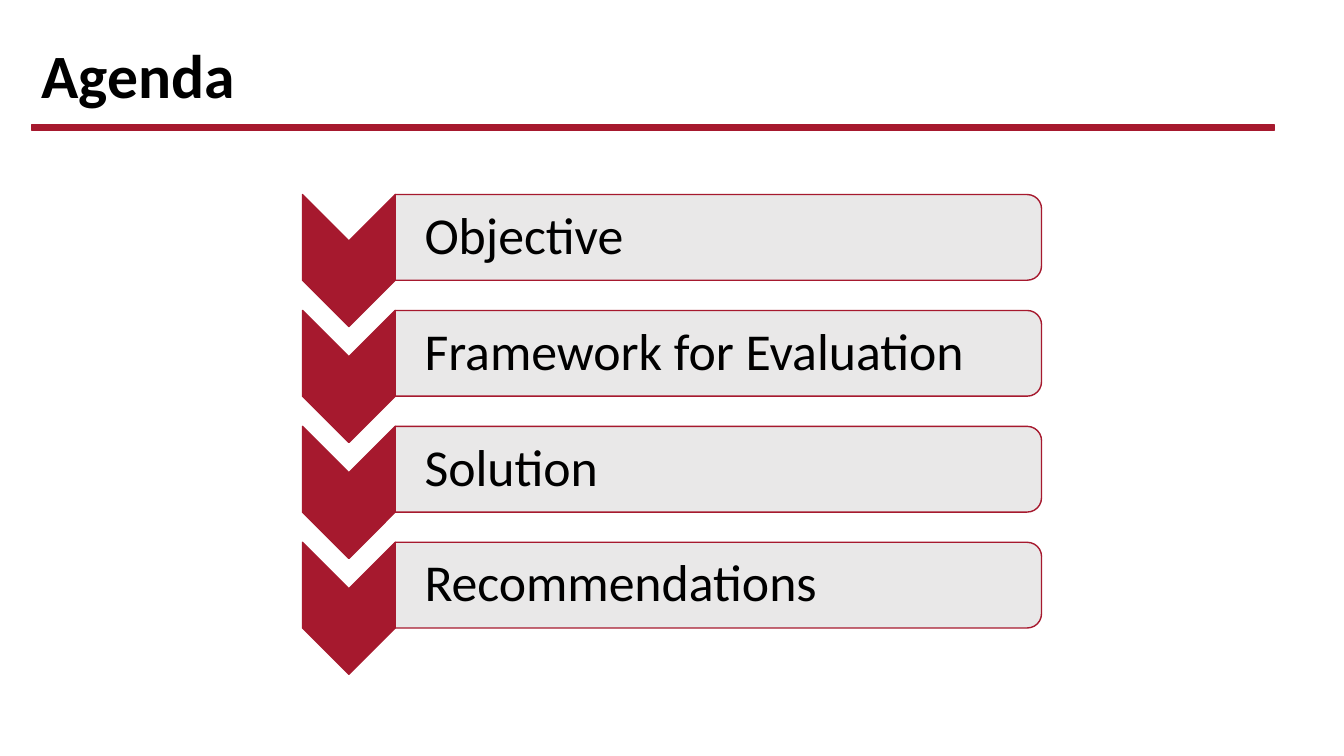
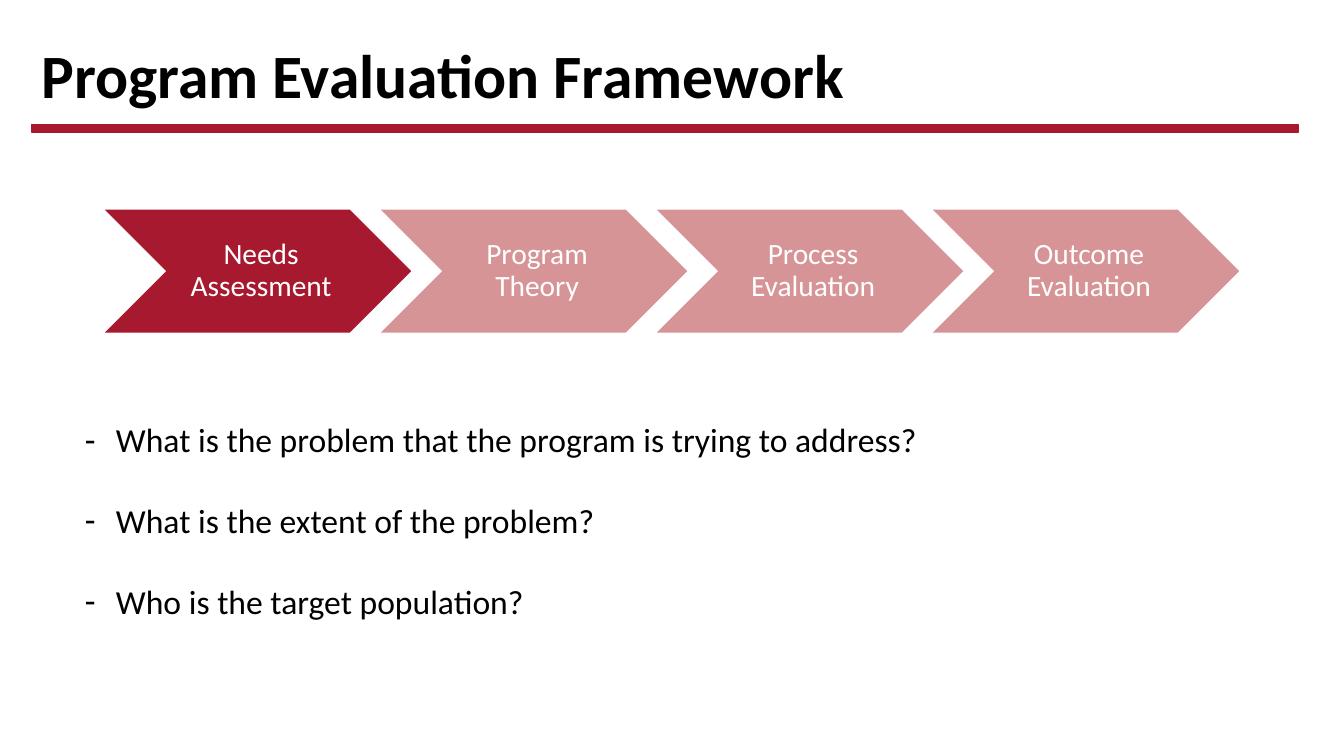
"""Builds an agenda slide and an evaluation framework slide."""
from pptx import Presentation
from pptx import util as u
from pptx.dml.color import RGBColor
from pptx.enum import shapes, text
from pptx.oxml import ns
from lxml import etree

PX = 9144
RED, PINK, GREY = "A6192E", "D79497", "E7E6E6"
BLACK, WHITE = "000000", "FFFFFF"
FONT = "Calibri"
KIND = shapes.MSO_SHAPE
ALIGN = text.PP_ALIGN
TOPICS = ["Objective", "Framework for Evaluation", "Solution", "Recommendations"]
STAGES = ["Needs Assessment", "Program Theory", "Process Evaluation",
          "Outcome Evaluation"]
ASKS = ["What is the problem that the program is trying to address?",
        "What is the extent of the problem?",
        "Who is the target population?"]


def px(num):
    return u.Emu(round(num * PX))


def tint(code):
    return RGBColor.from_string(code)


def place(item, box):
    item.left, item.top, item.width, item.height = map(px, box)


def style(par, size, color=BLACK, bold=False, align=ALIGN.LEFT, lead=0.9):
    par.alignment = align
    par.line_spacing = lead
    for run in par.runs:
        font = run.font
        font.name, font.size, font.bold = FONT, u.Pt(size), bold
        font.color.rgb = tint(color)


def inset(frame, left, rest):
    frame.word_wrap = True
    frame.vertical_anchor = text.MSO_ANCHOR.MIDDLE
    frame.margin_left = px(left)
    frame.margin_top = frame.margin_right = frame.margin_bottom = px(rest)


def shape(slide, kind, box, fill, line=None, turn=False):
    left, top, wide, high = box
    if turn:
        left, top = left + (wide - high) / 2, top + (high - wide) / 2
        wide, high = high, wide
    item = slide.shapes.add_shape(kind, *map(px, (left, top, wide, high)))
    item.shadow.inherit = False
    item.rotation = 90 if turn else 0
    item.fill.solid()
    item.fill.fore_color.rgb = tint(fill)
    if line:
        item.line.color.rgb = tint(line)
        item.line.width = u.Pt(1)
    else:
        item.line.fill.background()
    return item


def fade(item, share):
    color = item.element.spPr.find(".//" + ns.qn("a:srgbClr"))
    etree.SubElement(color, ns.qn("a:alpha"), val=str(share * 1000))


def start(deck, layout, title, wide, high):
    slide = deck.slides.add_slide(deck.slide_layouts[layout])
    head = slide.shapes.title
    place(head, (31, 32, 1150, 91))
    frame = head.text_frame
    frame.text = title
    frame.vertical_anchor = text.MSO_ANCHOR.MIDDLE
    style(frame.paragraphs[0], 44, bold=True)
    shape(slide, KIND.RECTANGLE, (31, 124, wide, high), RED, RED)
    return slide


def topic(slide, top, words):
    shape(slide, KIND.CHEVRON, (300, top, 92, 131), RED, RED, turn=True)
    box = (392, top, 641, 85)
    bar = shape(slide, KIND.ROUND_2_SAME_RECTANGLE, box, GREY, RED, turn=True)
    fade(bar, 90)
    label = slide.shapes.add_textbox(*map(px, box)).text_frame
    inset(label, 29, 3)
    label.text = words
    style(label.paragraphs[0], 37)


def stage(slide, left, words, fill):
    item = shape(slide, KIND.CHEVRON, (left, 208, 304, 122), fill)
    frame = item.text_frame
    inset(frame, 9, 3)
    frame.text = words
    style(frame.paragraphs[0], 21, WHITE, align=ALIGN.CENTER)


def listing(slide, box, lines):
    body = slide.placeholders[1]
    place(body, box)
    frame = body.text_frame
    frame.text = "\n".join(lines)
    frame.auto_size = text.MSO_AUTO_SIZE.NONE
    for par in frame.paragraphs:
        style(par, 24, lead=1.0)
        par.space_before, par.space_after = u.Pt(0), u.Pt(29)
        props = par._p.get_or_add_pPr()
        props.set("marL", str(px(31)))
        props.set("indent", str(-px(31)))
        etree.SubElement(props, ns.qn("a:buChar"), char="-")


def main():
    deck = Presentation()
    deck.slide_width, deck.slide_height = px(1333), px(750)

    agenda = start(deck, 5, "Agenda", 1233, 5)
    for row, words in enumerate(TOPICS):
        topic(agenda, 193 + 115 * row, words)

    frame = start(deck, 1, "Program Evaluation Framework", 1257, 7)
    for col, words in enumerate(STAGES):
        stage(frame, 104 + 273.7 * col, words, PINK if col else RED)
    listing(frame, (74, 411, 1021, 252), ASKS)

    deck.save("out.pptx")


if __name__ == "__main__":
    main()
